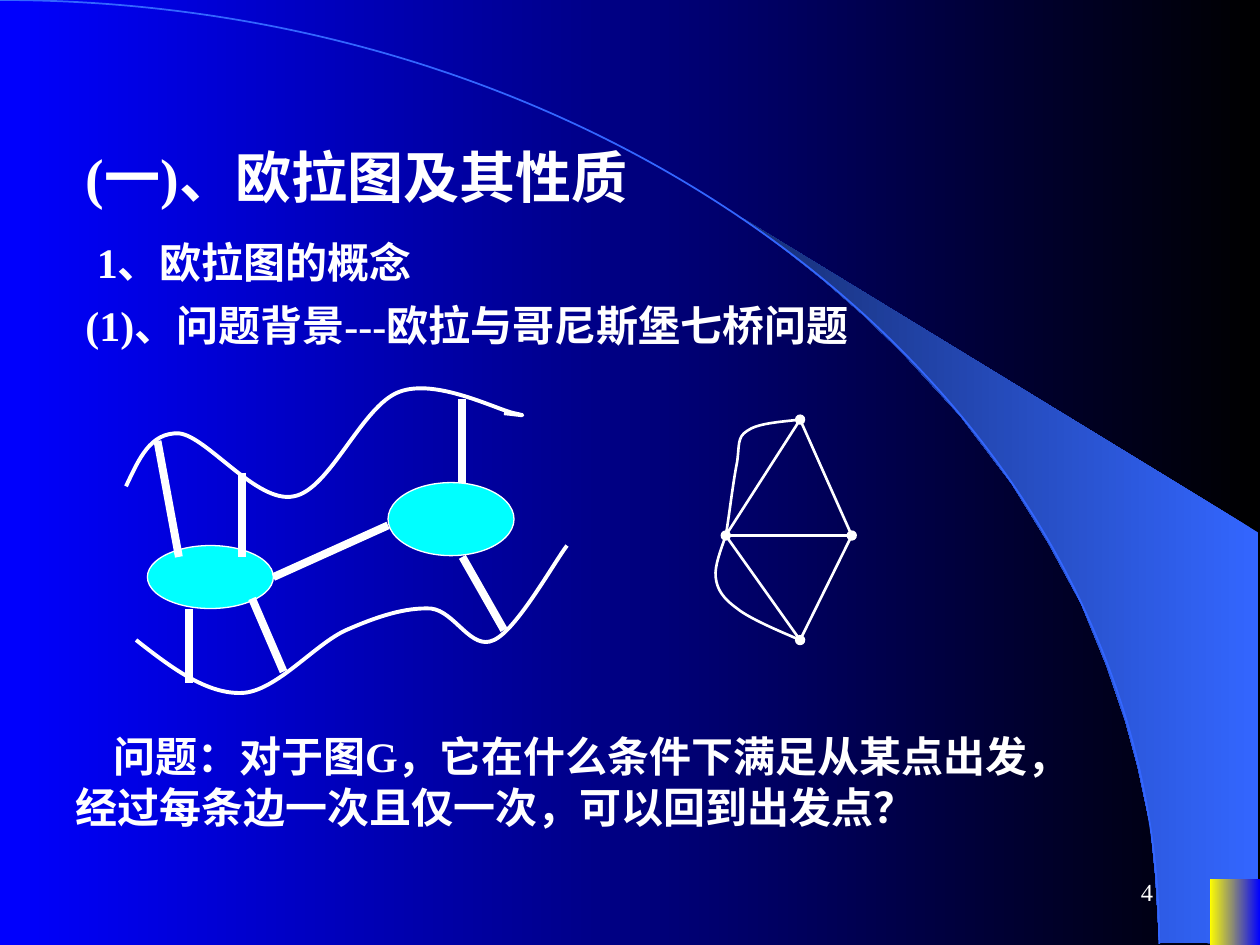
from lxml import etree
from pptx import Presentation
from pptx import util as u
from pptx.dml.color import RGBColor
from pptx.enum import shapes, text
from pptx.oxml.ns import qn

COLORS = {
    "white": "FFFFFF", "black": "000000", "blue": "0000FF", "cyan": "00FFFF",
    "yellow": "FFFF00", "sky": "3366FF", "navy": "172F75",
}


def rgb(name):
    return RGBColor.from_string(COLORS[name])


class SlideBuilder:
    """Holds the text style and the current slide."""

    font = "Times New Roman"
    ink = "white"

    def __init__(self, slide):
        self.s = slide

    def gradient(self, fill, start, end):
        fill.gradient()
        fill.gradient_angle = 180
        for stop, name, position in zip(fill.gradient_stops, (start, end), (0, 1)):
            stop.color.rgb = rgb(name)
            stop.position = position

    def outline(self, sp, name, width):
        sp.line.color.rgb = rgb(name)
        sp.line.width = u.Pt(width)

    def place(self, sp, box):
        sp.left, sp.top, sp.width, sp.height = map(u.Inches, box)

    def set_text(self, sp, words, size, before=0, bold=True, indent=0,
                 align=text.PP_ALIGN.LEFT, anchor=text.MSO_ANCHOR.TOP):
        tf = sp.text_frame
        tf.word_wrap = True
        tf.auto_size = text.MSO_AUTO_SIZE.NONE
        tf.vertical_anchor = anchor
        p = tf.paragraphs[0]
        p.text = words
        p.alignment = align
        p.space_before = u.Pt(before)
        p.font.name = self.font
        p.font.size = u.Pt(size)
        p.font.bold = bold
        p.font.color.rgb = rgb(self.ink)
        if indent:
            p._p.get_or_add_pPr().set("indent", str(u.Inches(indent)))

    def title(self, words, box):
        sp = self.s.shapes.title
        self.place(sp, box)
        self.set_text(sp, words, 32, before=20)

    def textbox(self, words, box, size=24, **style):
        sp = self.s.shapes.add_textbox(*map(u.Inches, box))
        self.set_text(sp, words, size, **style)

    def shape(self, kind, box):
        sp = self.s.shapes.add_shape(kind, *map(u.Inches, box))
        sp.shadow.inherit = False
        return sp

    def ellipse(self, box, fill):
        sp = self.shape(shapes.MSO_SHAPE.OVAL, box)
        sp.fill.solid()
        sp.fill.fore_color.rgb = rgb(fill)
        self.outline(sp, self.ink, 0.75)

    def gradient_rect(self, box, start, end):
        sp = self.shape(shapes.MSO_SHAPE.RECTANGLE, box)
        self.gradient(sp.fill, start, end)
        sp.line.fill.background()

    def freeform(self, points, close=False):
        first, *rest = [(u.Inches(x), u.Inches(y)) for x, y in points]
        builder = self.s.shapes.build_freeform(*first, scale=1.0)
        builder.add_line_segments(rest, close=close)
        sp = builder.convert_to_shape()
        sp.shadow.inherit = False
        return sp

    def gradient_polygon(self, points, start, end):
        sp = self.freeform(points, close=True)
        self.gradient(sp.fill, start, end)
        sp.line.fill.background()

    def curve(self, points, width, color=ink):
        """Start point, then three Bezier points for each segment."""
        sp = self.freeform(points)
        sp.fill.background()
        self.outline(sp, color, width)
        outline_xml = next(sp.element.iter(qn("a:path")))
        steps = outline_xml.findall(qn("a:lnTo"))
        for i in range(0, len(steps), 3):
            bezier = etree.SubElement(outline_xml, qn("a:cubicBezTo"))
            for step in steps[i:i + 3]:
                bezier.append(step[0])
                outline_xml.remove(step)

    def line(self, start, end, width, dots=False):
        c = self.s.shapes.add_connector(
            shapes.MSO_CONNECTOR.STRAIGHT, *map(u.Inches, start + end))
        self.outline(c, self.ink, width)
        if dots:
            ln = c.element.spPr.find(qn("a:ln"))
            for tag in ("a:headEnd", "a:tailEnd"):
                etree.SubElement(ln, qn(tag), type="oval")
        etree.SubElement(c.element.spPr, qn("a:effectLst"))


def main():
    prs = Presentation()
    prs.slide_width, prs.slide_height = u.Inches(10), u.Inches(7.5)
    b = SlideBuilder(prs.slides.add_slide(prs.slide_layouts[5]))

    # Background, light beam, arc and corner block
    b.gradient(b.s.background.fill, "black", "blue")
    b.gradient_polygon([
        (9.2, 7.48), (9.99, 7.49), (9.99, 4.23), (5.89, 1.73), (6.24, 1.99),
        (6.53, 2.22), (6.85, 2.5), (7.16, 2.8), (7.62, 3.3), (8.03, 3.84),
        (8.32, 4.31), (8.58, 4.79), (8.78, 5.28), (8.93, 5.72), (9.03, 6.09),
        (9.13, 6.56), (9.17, 6.96)], "sky", "navy")
    b.curve([(0, 0), (5.08, 0), (9.2, 3.35), (9.2, 7.49)], 1, "sky")
    b.gradient_rect((9.6, 6.98, 0.4, 0.52), "blue", "yellow")

    # Headings
    b.title("(一)、欧拉图及其性质", (0.58, 1.08, 7.33, 0.64))
    b.textbox("1、欧拉图的概念", (0.67, 1.83, 7.83, 0.5), before=15)
    b.textbox("(1)、问题背景---欧拉与哥尼斯堡七桥问题",
              (0.58, 2.33, 7.84, 0.5), before=15)

    # River banks
    b.curve([
        (1, 3.86), (1.1, 3.65), (1.19, 3.43), (1.42, 3.44),
        (1.64, 3.46), (2.04, 4), (2.33, 3.94),
        (2.62, 3.89), (2.87, 3.22), (3.17, 3.11),
        (3.46, 3), (3.94, 3.25), (4.08, 3.28),
        (4.22, 3.31), (4.11, 3.29), (4, 3.28)], 2.25)
    b.curve([
        (1.08, 5.08), (1.36, 5.3), (1.64, 5.51), (1.92, 5.5),
        (2.19, 5.49), (2.5, 5.11), (2.75, 5),
        (3, 4.89), (3.22, 4.82), (3.42, 4.83),
        (3.61, 4.85), (3.74, 5.17), (3.92, 5.08),
        (4.1, 5), (4.4, 4.46), (4.5, 4.33)], 2.25)

    # Islands and the seven bridges
    for island in ((1.17, 4.33, 1, 0.5), (3.08, 3.83, 1, 0.58)):
        b.ellipse(island, "cyan")
    bridges = [
        ((1.25, 3.5), (1.42, 4.42)), ((1.92, 3.75), (1.92, 4.42)),
        ((1.5, 4.83), (1.5, 5.42)), ((2, 4.75), (2.25, 5.33)),
        ((3.67, 3.17), (3.67, 3.83)), ((3.67, 4.42), (4, 5)),
        ((2.17, 4.58), (3.08, 4.17))]
    for start, end in bridges:
        b.line(start, end, 4.5)

    # Graph of the bridges
    top, left, right, bottom = (6.35, 3.33), (5.76, 4.25), (6.76, 4.25), (6.35, 5.08)
    edges = [(left, right, False), (top, left, True), (right, bottom, True),
             (top, right, False), (left, bottom, False)]
    for start, end, dots in edges:
        b.line(start, end, 1.5, dots)
    b.curve([top, (6.18, 3.35), (6.01, 3.36), (5.93, 3.42),
             (5.85, 3.47), (5.87, 3.53), (5.85, 3.67),
             (5.82, 3.81), (5.78, 4.15), left], 1.5)
    b.curve([left, (5.72, 4.37), (5.67, 4.49), (5.68, 4.58),
             (5.69, 4.68), (5.74, 4.75), (5.85, 4.83),
             (5.96, 4.92), (6.26, 5.04), bottom], 1.5)

    # Question and slide number
    b.textbox("问题：对于图G，它在什么条件下满足从某点出发，经过每条边一次且仅一次，可以回到出发点？",
              (0.5, 5.75, 8.25, 0.9), before=15, indent=0.3)
    b.textbox("4", (7.17, 6.83, 2.08, 0.5), size=14, bold=False,
              align=text.PP_ALIGN.RIGHT, anchor=text.MSO_ANCHOR.MIDDLE)

    prs.save("out.pptx")


if __name__ == "__main__":
    main()
